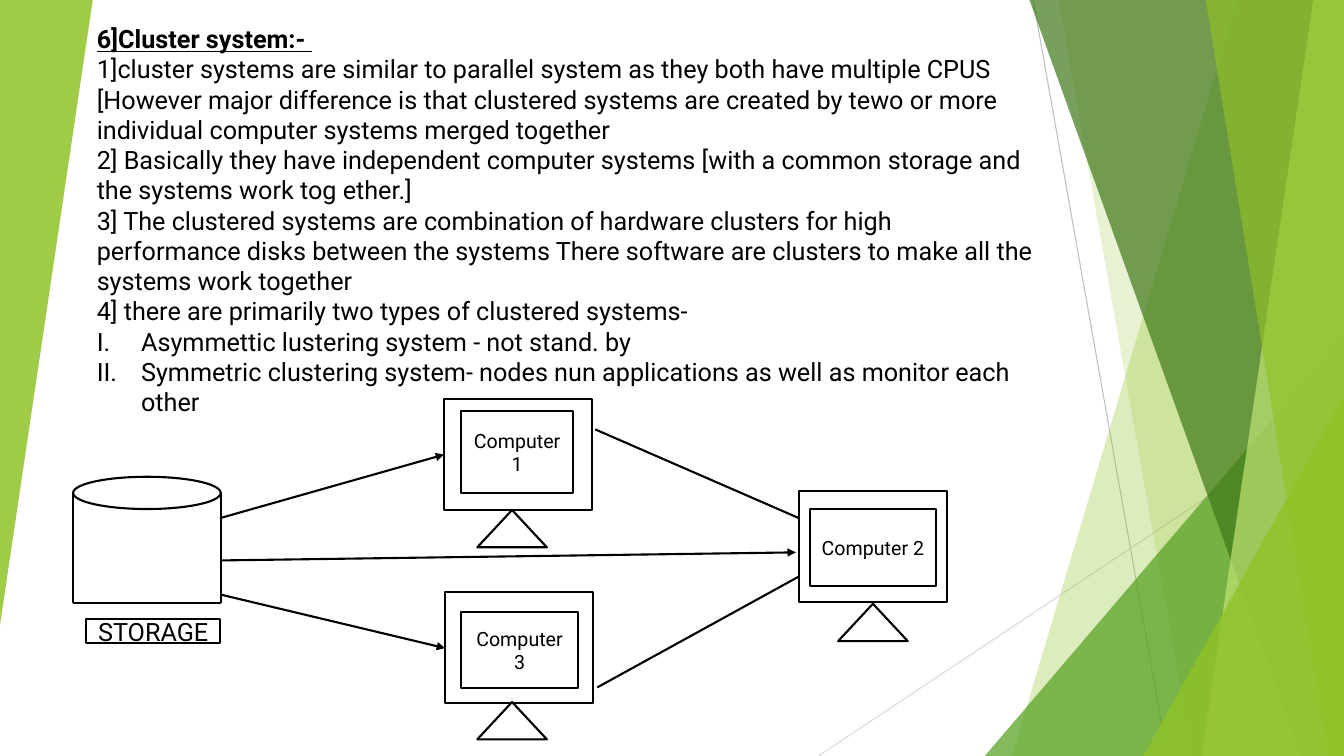
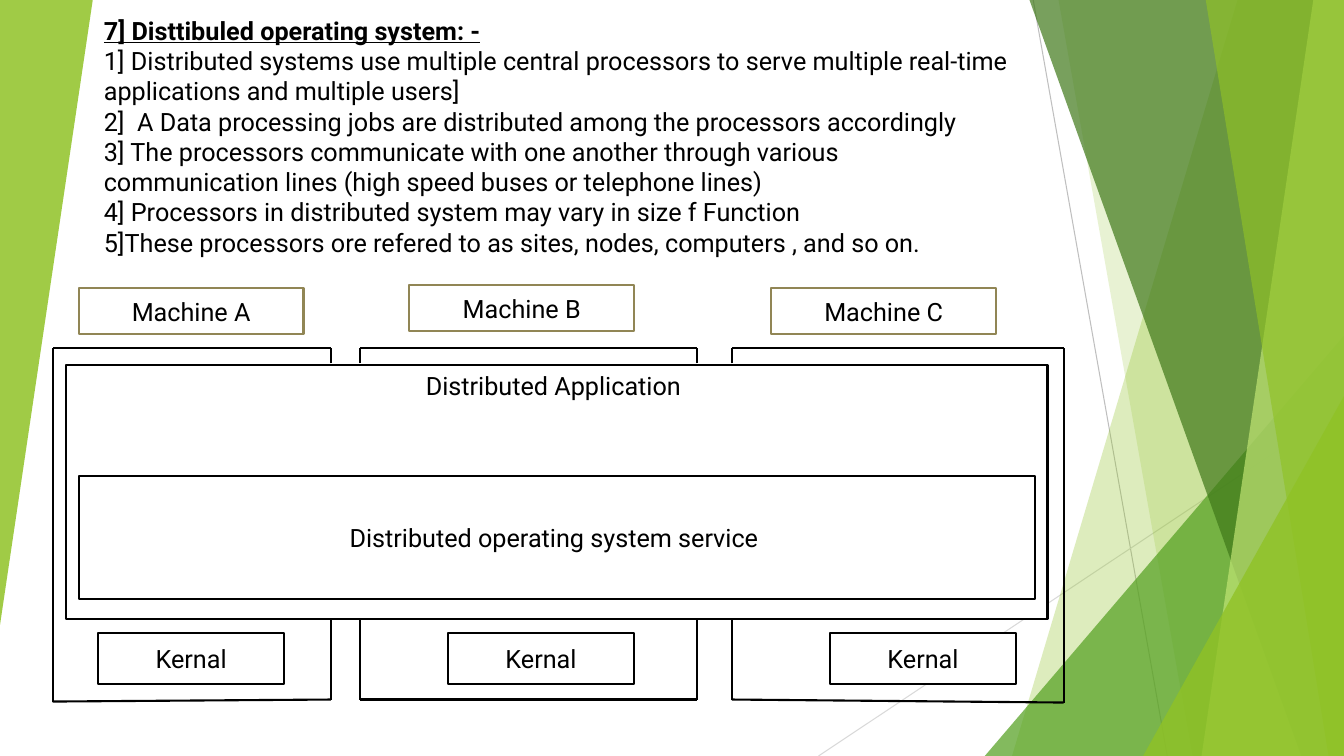
from lxml.etree import SubElement
from pptx import Presentation
from pptx.dml.color import RGBColor
from pptx.enum.shapes import MSO_CONNECTOR, MSO_SHAPE
from pptx.enum.text import MSO_ANCHOR, MSO_AUTO_SIZE, PP_ALIGN
from pptx.oxml.ns import qn
from pptx.util import Inches, Pt

COLS, ROWS = 133.33, 75
FONT = "Roboto"
HUES = {
    "ink": "000000", "paper": "FFFFFF", "khaki": "918655",
    "lime": "90C226", "leaf": "54A021", "moss": "3F7819", "pale": "C0E474",
    "gray": "BFBFBF", "mist": "D9D9D9",
}
PANES = [
    ("free", 122.8, 100.4, "lime", 30),
    ("free", 105, 118.3, "lime", 20),
    ("wedge", 97.7, 33.3, "leaf", 72),
    ("free", 102.1, 129.1, "moss", 70),
    ("free", 130.3, 119.2, "pale", 70),
    ("free", 119.6, 131.8, "lime", 65),
    ("wedge", 113.4, 39.3, "lime", 80),
]


def cell(n):
    return Inches(n / 10)


def hue(name):
    return RGBColor.from_string(HUES[name])


def within(box, x, y, w=0, h=0):
    return box[0] + x, box[1] + y, w, h


def style(para, size, bold=False):
    font = para.font
    font.name, font.size, font.bold = FONT, Pt(size), bold
    font.underline = bold
    font.color.rgb = hue("ink")


def shape(slide, box, kind=MSO_SHAPE.RECTANGLE, text="", size=18,
          edge="ink", anchor=MSO_ANCHOR.MIDDLE):
    item = slide.shapes.add_shape(kind, *map(cell, box))
    item.shadow.inherit = False
    item.fill.solid()
    item.fill.fore_color.rgb = hue("paper")
    item.line.color.rgb = hue(edge)
    item.line.width = Pt(1.5)
    if text:
        frame = item.text_frame
        frame.word_wrap = True
        frame.vertical_anchor = anchor
        para = frame.paragraphs[0]
        para.text = text
        para.alignment = PP_ALIGN.CENTER
        style(para, size)
    return item


def wire(slide, box, start, end, arrow=False, color="ink", width=1.5):
    ends = within(box, *start)[:2] + within(box, *end)[:2]
    item = slide.shapes.add_connector(MSO_CONNECTOR.STRAIGHT, *map(cell, ends))
    item.line.color.rgb = hue(color)
    item.line.width = Pt(width)
    props = item.element.spPr
    if arrow:
        SubElement(props.find(qn("a:ln")), qn("a:tailEnd"), type="triangle")
    SubElement(props, qn("a:effectLst"))
    return item


def glaze(item, color, alpha):
    item.shadow.inherit = False
    item.fill.solid()
    item.fill.fore_color.rgb = hue(color)
    item.line.fill.background()
    tint = item.element.xpath("./p:spPr/a:solidFill/a:srgbClr")[0]
    SubElement(tint, qn("a:alpha"), val=str(alpha * 1000))
    return item


def wedge(slide, box, color, alpha):
    item = slide.shapes.add_shape(MSO_SHAPE.ISOSCELES_TRIANGLE, *map(cell, box))
    item.adjustments[0] = 1
    return glaze(item, color, alpha)


def pane(slide, top, base, color, alpha):
    pen = slide.shapes.build_freeform(cell(top), cell(-0.1))
    edge = [(COLS, -0.1), (COLS, ROWS), (base, ROWS)]
    pen.add_line_segments([(cell(x), cell(y)) for x, y in edge], close=True)
    return glaze(pen.convert_to_shape(), color, alpha)


def backdrop(slide, layout):
    page = (0, 0, COLS, ROWS)
    items = [
        wire(slide, page, (102.5, 0), (115.8, ROWS), color="gray", width=0.75),
        wire(slide, page, (COLS, 40.3), (81.2, ROWS), color="mist", width=0.75),
    ]
    for kind, left, low, color, alpha in PANES:
        if kind == "free":
            items.append(pane(slide, left, low, color, alpha))
        else:
            box = (left, low, COLS - left, ROWS - low)
            items.append(wedge(slide, box, color, alpha))
    side = wedge(slide, (0, 0, 9.2, 62), "lime", 85)
    side.rotation = 180
    for num, item in enumerate(items + [side], 100):
        item.element.xpath(".//p:cNvPr")[0].set("id", str(num))
        layout.shapes.element.append(item.element)


def fit(holder, box):
    holder.left, holder.top, holder.width, holder.height = map(cell, box)
    frame = holder.text_frame
    frame.margin_left = frame.margin_right = 0
    frame.margin_top = frame.margin_bottom = 0
    frame.word_wrap = True
    frame.auto_size = MSO_AUTO_SIZE.NONE
    frame.vertical_anchor = MSO_ANCHOR.TOP
    return frame


def notes(slide, box, title, lines, roman=()):
    x, y, w, h = box
    head = fit(slide.shapes.title, (x, y, w, 3)).paragraphs[0]
    head.text = title
    head.alignment = PP_ALIGN.LEFT
    style(head, 18, True)
    frame = fit(slide.placeholders[1], (x, y + 3, w, h - 3))
    for num, line in enumerate([*lines, *roman]):
        para = frame.add_paragraph() if num else frame.paragraphs[0]
        para.text = line
        para.space_before = Pt(0)
        props = para._p.get_or_add_pPr()
        inset = cell(4.4) if num >= len(lines) else 0
        props.set("marL", str(inset))
        props.set("indent", str(-inset))
        if inset:
            SubElement(props, qn("a:buAutoNum"), type="romanUcPeriod")
        else:
            SubElement(props, qn("a:buNone"))
        style(para, 18)


def drum(slide, box):
    w, h = box[2:]
    shape(slide, (*box[:2], w, 3.2), MSO_SHAPE.OVAL)
    rim = [(0, 1.6), (0, h), (w, h), (w, 1.6)]
    for start, end in zip(rim, rim[1:]):
        wire(slide, box, start, end)


def screen(slide, box, text, glass, foot):
    shape(slide, box)
    shape(slide, within(box, *glass), text=text, size=14)
    shape(slide, within(box, *foot, 6.9, 3.7), MSO_SHAPE.ISOSCELES_TRIANGLE)


def cluster(slide, box):
    drum(slide, within(box, 0, 7.7, 14.65, 12.5))
    shape(slide, within(box, 1.3, 21.8, 13.3, 2.4), text="STORAGE ")
    for text, x, y, glass, foot in [
        ("Computer 1", 36.8, 0, (1.7, 1.2, 11.1, 8.1), (3.3, 11)),
        ("Computer 3", 36.9, 19.15, (1.6, 2, 11.6, 7.5), (3.2, 10.9)),
        ("Computer 2", 72, 9.1, (1.1, 1.8, 12.5, 7.6), (3.9, 11.2)),
    ]:
        screen(slide, within(box, x, y, 14.7, 11), text, glass, foot)
    for start, end, arrow in [
        ((51.8, 3), (72, 11.8), False),
        ((52, 28.6), (72, 17.6), False),
        ((14.6, 11.8), (36.8, 5.5), True),
        ((14.7, 16), (71.7, 15.2), True),
        ((14.7, 19.4), (36.9, 24.7), True),
    ]:
        wire(slide, box, start, end, arrow)


def bay(slide, box, feet, whole):
    w = box[2]
    wire(slide, box, (w, 0), (0, 0))
    wire(slide, box, (w, feet[1]), (0, feet[0]))
    for side, x, foot in zip("LR", (0, w), feet):
        spans = [(foot, 0)] if side == whole else [(1.55, 0), (foot, 27)]
        for low, high in spans:
            wire(slide, box, (x, low), (x, high))


def stack(slide, box):
    shape(slide, within(box, 1.3, 7.9, 97.4, 25.2),
          text="Distributed Application ", anchor=MSO_ANCHOR.TOP)
    shape(slide, within(box, 2.6, 18.9, 94.9, 12.2),
          text="Distributed operating system service ")
    for name, x, w, tag, y, core, feet, whole in [
        ("A", 0, 27.6, 2.6, 0.3, 4.5, (35.1, 34.9), "L"),
        ("B", 30.5, 33.4, 35.4, 0, 39.2, (34.9, 34.9), ""),
        ("C", 67.4, 32.9, 71.3, 0.3, 77.1, (34.9, 35.2), "R"),
    ]:
        bay(slide, within(box, x, 6.2, w, 35), feet, whole)
        shape(slide, within(box, tag, y, 22.3, 4.5),
              text=f"Machine {name}", edge="khaki")
        shape(slide, within(box, core, 34.5, 18.5, 5.1), text="Kernal")


def main():
    deck = Presentation()
    deck.slide_width, deck.slide_height = cell(COLS), cell(ROWS)
    layout = deck.slide_layouts[1]

    first = deck.slides.add_slide(layout)
    backdrop(first, layout)
    notes(first, (9.6, 2.33, 93.3, 39.4), "6]Cluster system:- ", [
        "1]cluster systems are similar to parallel system as they both have multiple CPUS "
        "[However major difference is that clustered systems are created by tewo or more "
        "individual computer systems merged together",
        "2] Basically they have independent computer systems [with a common storage and "
        "the systems work tog ether.]",
        "3] The clustered systems are combination of hardware clusters for high performance "
        "disks between the systems There software are clusters to make all the systems "
        "work together",
        "4] there are primarily two types of clustered systems-",
    ], [
        "Asymmettic lustering system - not stand. by",
        "Symmetric clustering system- nodes nun applications as well as monitor each other",
    ])
    cluster(first, (7.25, 39.6, 86.7, 33.8))

    second = deck.slides.add_slide(layout)
    notes(second, (10.3, 1.5, 90.2, 24.2), "7] Disttibuled operating system: -", [
        "1] Distributed systems use multiple central processors to serve multiple real-time "
        "applications and multiple users]",
        "2]  A Data processing jobs are distributed among the processors accordingly",
        "3] The processors communicate with one another through various communication lines "
        "(high speed buses or telephone lines)",
        "4] Processors in distributed system may vary in size f Function",
        "5]These processors ore refered to as sites, nodes, computers , and so on.",
    ])
    stack(second, (5.22, 28.3, 100.3, 41.3))
    deck.save("out.pptx")


if __name__ == "__main__":
    main()
